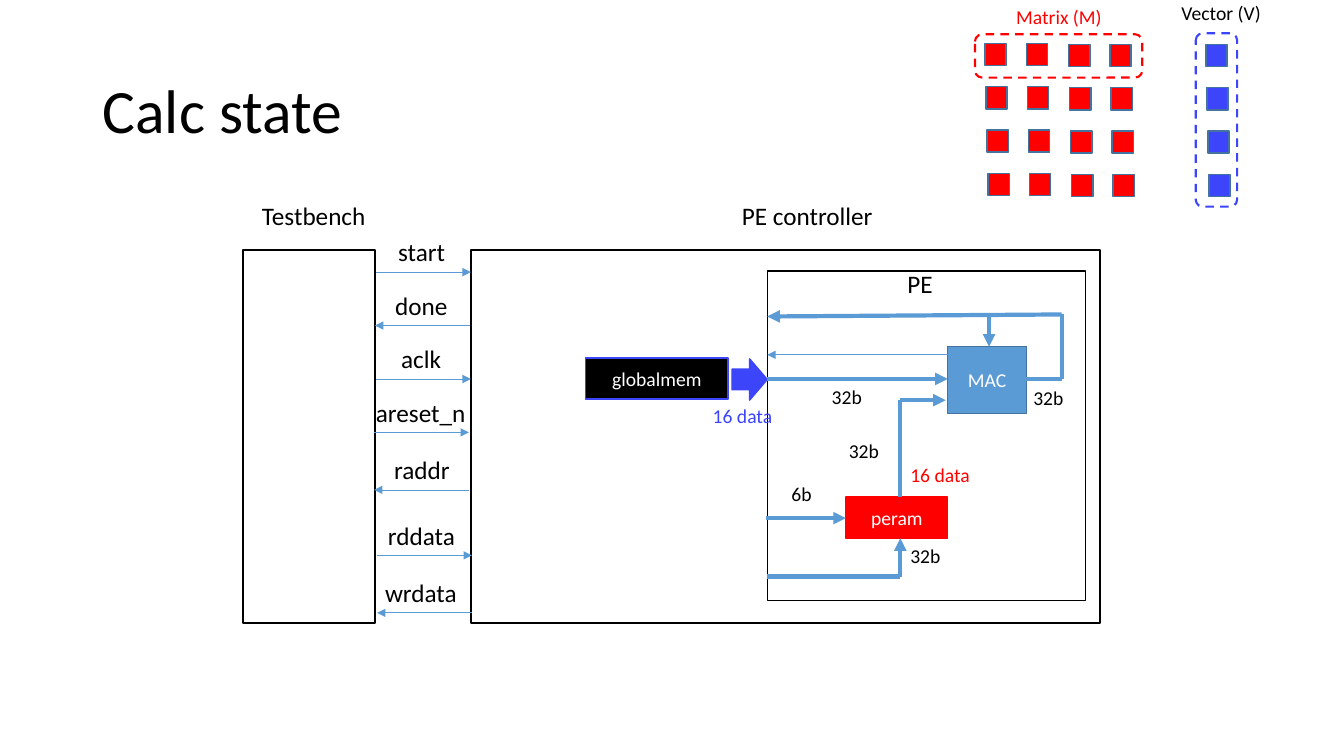
"""Build the Calc state slide: a PE controller block diagram with its matrix and vector."""
from dataclasses import dataclass
from itertools import product
from typing import Optional

from lxml import etree
from pptx import Presentation
from pptx import util as u
from pptx.dml.color import RGBColor
from pptx.enum import dml, shapes, text
from pptx.oxml import ns

BLACK = RGBColor(0x00, 0x00, 0x00)
WHITE = RGBColor(0xFF, 0xFF, 0xFF)
RED = RGBColor(0xFF, 0x00, 0x00)
VIOLET = RGBColor(0x3C, 0x45, 0xFA)
BLUE = RGBColor(0x5B, 0x9B, 0xD5)
STEEL = RGBColor(0x43, 0x73, 0x9E)
FONT = "Calibri"
KIND = shapes.MSO_SHAPE


@dataclass
class Block:
    left: float
    top: float
    width: float
    height: float
    outline: RGBColor
    fill: Optional[RGBColor] = None
    caption: str = ""
    kind: KIND = KIND.RECTANGLE
    dashed: bool = False


@dataclass
class Label:
    caption: str
    left: float
    top: float
    width: float
    height: float = 0.34
    size: float = 14
    color: RGBColor = BLACK
    wrap: bool = False


@dataclass
class Wire:
    x1: float
    y1: float
    x2: float
    y2: float
    arrow: bool = True
    weight: float = 3


@dataclass
class Signal:
    name: str
    y: float
    wire_left: float
    label_left: float
    label_width: float
    to_controller: bool


BLOCKS = [
    Block(2.41, 2.48, 1.31, 3.7, BLACK),
    Block(4.67, 2.48, 6.24, 3.7, BLACK),
    Block(7.61, 2.69, 3.16, 3.27, BLACK),
    Block(8.39, 4.93, 1.01, 0.41, RED, RED, "peram"),
    Block(9.4, 3.44, 0.78, 0.66, STEEL, BLUE, "MAC"),
    Block(5.81, 3.55, 1.41, 0.41, VIOLET, BLACK, "globalmem"),
    Block(7.26, 3.56, 0.35, 0.41, VIOLET, VIOLET, kind=KIND.RIGHT_ARROW),
    Block(9.67, 0.34, 1.66, 0.43, RED, kind=KIND.ROUNDED_RECTANGLE, dashed=True),
    Block(11.86, 0.33, 0.41, 1.72, VIOLET, kind=KIND.ROUNDED_RECTANGLE, dashed=True),
]
WIRES = [
    Wire(7.61, 3.76, 9.4, 3.76),
    Wire(9.4, 3.52, 7.61, 3.52, weight=0.5),
    Wire(10.17, 3.76, 10.53, 3.76, arrow=False),
    Wire(10.53, 3.12, 10.53, 3.76, arrow=False),
    Wire(10.53, 3.12, 7.61, 3.14),
    Wire(9.81, 3.13, 9.81, 3.44),
    Wire(8.93, 4.93, 8.93, 3.97, arrow=False),
    Wire(8.93, 3.97, 9.38, 3.97),
    Wire(7.61, 5.72, 8.93, 5.72, arrow=False),
    Wire(8.93, 5.72, 8.93, 5.34),
    Wire(7.6, 5.14, 8.39, 5.14),
]
LABELS = [
    Label("Testbench", 2.5, 1.94, 1.27, 0.4, 18, wrap=True),
    Label("PE controller", 7.26, 1.94, 1.93, 0.54, 18),
    Label("PE", 8.9, 2.61, 0.58, 0.54, 18),
    Label("6b", 7.75, 4.73, 0.52, 0.45),
    Label("32b", 8.32, 4.31, 0.65, 0.45),
    Label("32b", 8.93, 5.35, 0.65, 0.45),
    Label("32b", 10.15, 3.78, 0.65, 0.45),
    Label("32b", 8.15, 3.77, 0.65, 0.45),
    Label("16 data", 6.97, 3.96, 0.8, color=VIOLET),
    Label("16 data", 8.93, 4.54, 0.8, color=RED),
    Label("Matrix (M)", 9.98, 0, 1.06, color=RED),
    Label("Vector (V)", 11.62, -0.04, 1),
]
SIGNALS = [
    Signal("start", 2.7, 3.73, 3.85, 0.67, True),
    Signal("done", 3.23, 3.72, 3.82, 0.73, False),
    Signal("aclk", 3.76, 3.73, 3.88, 0.6, True),
    Signal("areset_n", 4.29, 3.71, 3.63, 1.1, True),
    Signal("raddr", 4.86, 3.71, 3.81, 0.76, False),
    Signal("rddata", 5.51, 3.74, 3.75, 0.87, True),
    Signal("wrdata", 6.08, 3.74, 3.72, 0.92, False),
]


def style_text(paragraph, size: float, color: RGBColor) -> None:
    for run in paragraph.runs:
        run.font.name = FONT
        run.font.size = u.Pt(size)
        run.font.color.rgb = color


def add_block(slide, block: Block) -> None:
    shape = slide.shapes.add_shape(block.kind, u.Inches(block.left), u.Inches(block.top),
                                   u.Inches(block.width), u.Inches(block.height))
    shape.shadow.inherit = False
    if block.fill is None:
        shape.fill.background()
    else:
        shape.fill.solid()
        shape.fill.fore_color.rgb = block.fill
    shape.line.color.rgb = block.outline
    shape.line.width = u.Pt(1.5 if block.dashed else 1)
    if block.dashed:
        shape.line.dash_style = dml.MSO_LINE.DASH
    if block.caption:
        shape.text_frame.text = block.caption
        shape.text_frame.vertical_anchor = text.MSO_ANCHOR.MIDDLE
        paragraph = shape.text_frame.paragraphs[0]
        paragraph.alignment = text.PP_ALIGN.CENTER
        style_text(paragraph, 14, WHITE)


def add_label(slide, label: Label) -> None:
    shape = slide.shapes.add_textbox(u.Inches(label.left), u.Inches(label.top),
                                     u.Inches(label.width), u.Inches(label.height))
    shape.text_frame.text = label.caption
    shape.text_frame.word_wrap = label.wrap
    shape.text_frame.auto_size = text.MSO_AUTO_SIZE.SHAPE_TO_FIT_TEXT
    style_text(shape.text_frame.paragraphs[0], label.size, label.color)


def add_title(slide, caption: str) -> None:
    shape = slide.shapes.add_textbox(u.Inches(0.92), u.Inches(0.4), u.Inches(11.5), u.Inches(1.45))
    shape.text_frame.text = caption
    shape.text_frame.word_wrap = True
    shape.text_frame.vertical_anchor = text.MSO_ANCHOR.MIDDLE
    paragraph = shape.text_frame.paragraphs[0]
    paragraph.line_spacing = 0.9
    style_text(paragraph, 44, BLACK)


def add_wire(slide, wire: Wire) -> None:
    connector = slide.shapes.add_connector(shapes.MSO_CONNECTOR.STRAIGHT,
                                           u.Inches(wire.x1), u.Inches(wire.y1),
                                           u.Inches(wire.x2), u.Inches(wire.y2))
    connector.line.color.rgb = BLUE
    connector.line.width = u.Pt(wire.weight)
    if wire.arrow:
        etree.SubElement(connector.line._get_or_add_ln(), ns.qn("a:tailEnd"), type="triangle")
    etree.SubElement(connector._element.spPr, ns.qn("a:effectLst"))


def add_signal(slide, signal: Signal) -> None:
    start, end = signal.wire_left, signal.wire_left + 0.94
    if not signal.to_controller:
        start, end = end, start
    add_wire(slide, Wire(start, signal.y, end, signal.y, weight=0.5))
    add_label(slide, Label(signal.name, signal.label_left, signal.y - 0.4,
                           signal.label_width, 0.4, 18))


def add_cells(slide) -> None:
    columns = [(9.77, 0.43, RED), (10.18, 0.43, RED), (10.6, 0.44, RED),
               (11.01, 0.44, RED), (11.96, 0.44, VIOLET)]
    for row, (left, top, color) in product(range(4), columns):
        add_block(slide, Block(left + 0.01 * row, top + 0.43 * row, 0.21, 0.22, STEEL, color))


def main() -> None:
    presentation = Presentation()
    presentation.slide_width = u.Inches(13.33)
    presentation.slide_height = u.Inches(7.5)
    slide = presentation.slides.add_slide(presentation.slide_layouts[6])
    add_title(slide, "Calc state")
    for draw, items in ((add_block, BLOCKS), (add_wire, WIRES),
                        (add_label, LABELS), (add_signal, SIGNALS)):
        for item in items:
            draw(slide, item)
    add_cells(slide)
    presentation.save("out.pptx")


if __name__ == "__main__":
    main()
